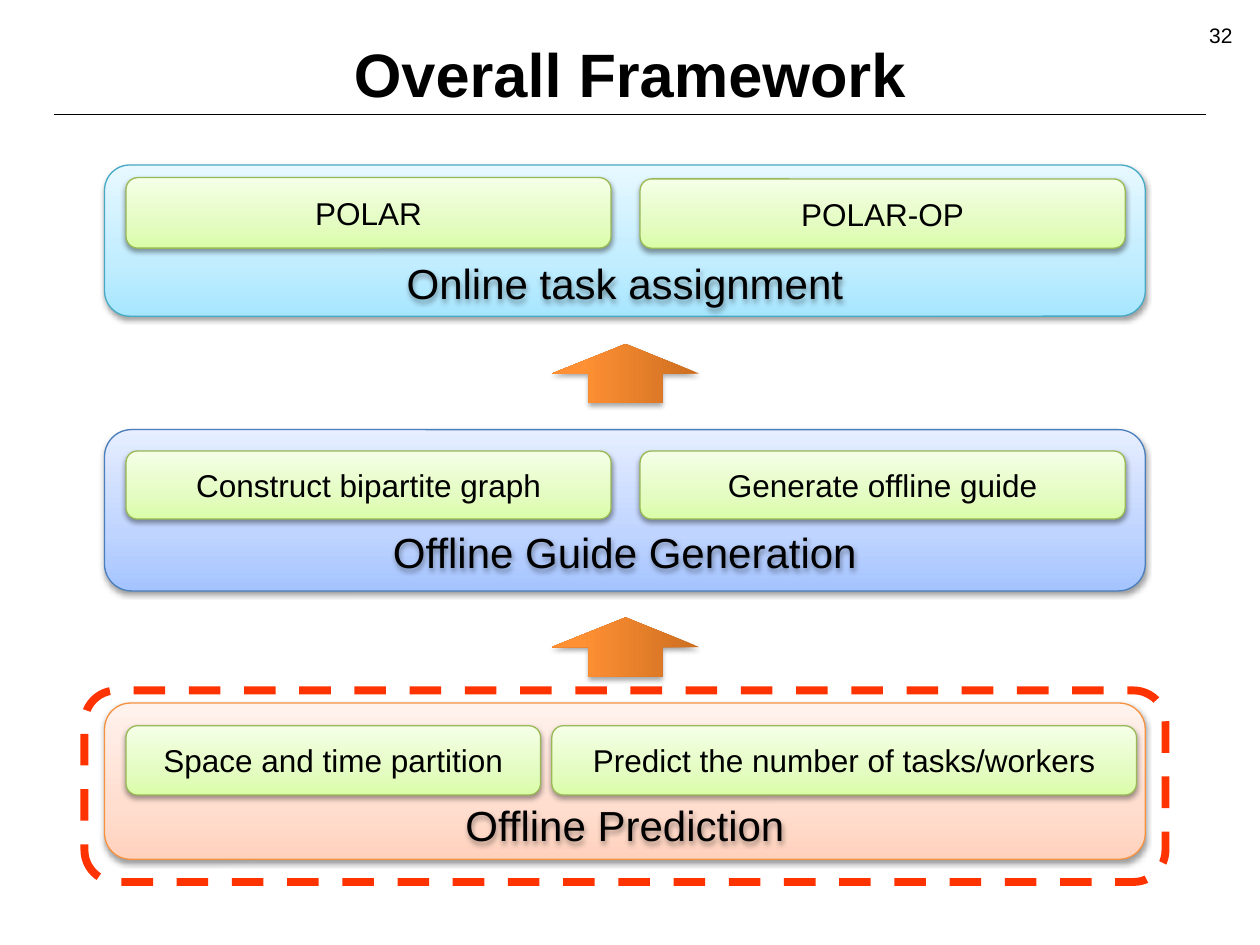
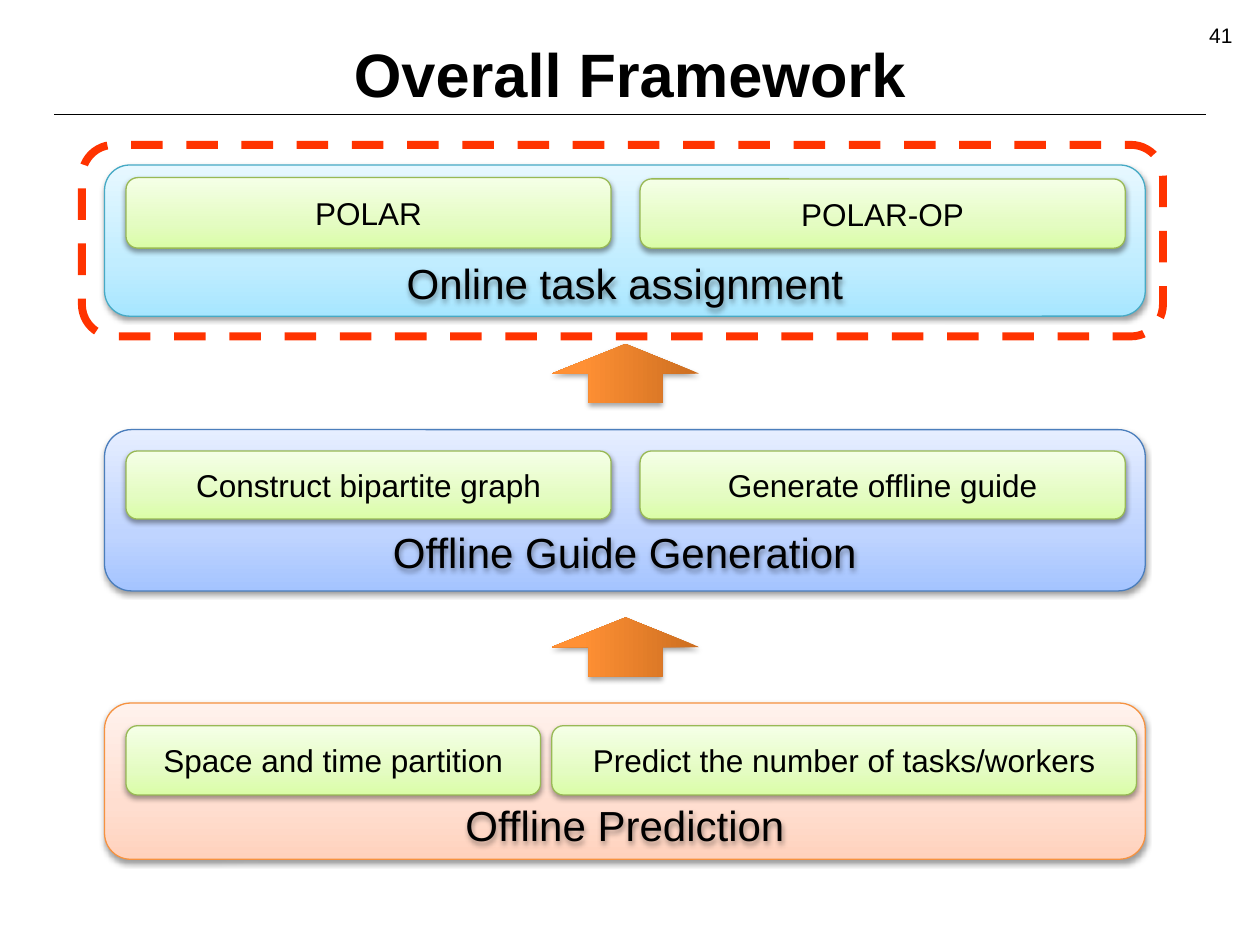
import pptx
import pptx.dml.color
import pptx.enum.dml
import pptx.enum.shapes
import pptx.enum.text
import pptx.oxml.ns
import pptx.util
import lxml.etree
from dataclasses import dataclass

Inches = pptx.util.Inches
Pt = pptx.util.Pt
rgb = pptx.dml.color.RGBColor.from_string
qn = pptx.oxml.ns.qn
Shape = pptx.enum.shapes.MSO_SHAPE
Align = pptx.enum.text.PP_ALIGN
Anchor = pptx.enum.text.MSO_ANCHOR


@dataclass(frozen=True)
class Theme:
    font: str = "Arial"
    ink: str = "000000"
    focus: str = "FF3300"
    edge: str = "98B955"
    green: tuple = ((0, "DAFDA7"), (35, "E4FCC2"), (100, "F5FFE7"))
    blue: tuple = ((0, "A4C4FF"), (35, "BFD4FF"), (100, "E6EEFF"))
    cyan: tuple = ((0, "A7E6FF"), (35, "C1EDFF"), (100, "E7F8FF"))
    peach: tuple = ((0, "FFD2BD"), (35, "FFDED0"), (100, "FFF2ED"))
    orange: tuple = ((0, "CC6E20"), (80, "FF9034"), (100, "FF9136"))
    title: int = 35
    label: int = 24
    step: int = 18
    page: int = 12
    thin: float = 0.75
    thick: float = 4.5


THEME = Theme()
LEFT, WIDTH, ROW = 0.83, 8.26, 0.55
BANDS = [
    dict(top=5.58, high=1.24, stops=THEME.peach, edge="F69240",
         label=("Offline Prediction", 6.27),
         steps=[("Space and time partition", 1, 5.76, 3.29, ROW),
                ("Predict the number of tasks/workers", 4.38, 5.76, 4.64, ROW)]),
    dict(top=3.41, high=1.28, stops=THEME.blue, edge="4B7EBC",
         label=("Offline Guide Generation", 4.1),
         steps=[("Construct bipartite graph", 1, 3.58, 3.85, 0.54),
                ("Generate offline guide", 5.08, 3.58, 3.85, 0.54)]),
    dict(top=1.31, high=1.2, stops=THEME.cyan, edge="46AAC5",
         label=("Online task assignment", 1.97),
         steps=[("POLAR", 1, 1.41, 3.85, 0.56),
                ("POLAR-OP", 5.08, 1.42, 3.85, ROW)]),
]
SLIDES = [("32", 0.67, 5.48), ("41", 0.65, 1.15)]
ARROWS = [2.38, 4.55]


def put(item, **vals):
    for name, val in vals.items():
        setattr(item, name, val)


def box(*spot):
    return [Inches(num) for num in spot]


def write(shape, text, size, align=Align.CENTER, anchor=Anchor.MIDDLE, bold=False):
    frame = shape.text_frame
    put(frame, text=text, word_wrap=True, vertical_anchor=anchor)
    line = frame.paragraphs[0]
    line.alignment = align
    put(line.font, name=THEME.font, size=Pt(size), bold=bold)
    line.font.color.rgb = rgb(THEME.ink)


def blend(shape, stops):
    shape.fill.gradient()
    shape.fill.gradient_angle = 90
    group = shape.element.spPr.find(".//" + qn("a:gsLst"))
    for stop in list(group):
        group.remove(stop)
    for pos, tint in stops:
        stop = lxml.etree.SubElement(group, qn("a:gs"), pos=str(pos * 1000))
        lxml.etree.SubElement(stop, qn("a:srgbClr"), val=tint)


def shade(shape, alpha, gap):
    effects = shape.element.spPr.find(qn("a:effectLst"))
    cast = lxml.etree.SubElement(
        effects, qn("a:outerShdw"), blurRad=str(Pt(3.1)), dist=str(Pt(gap)),
        dir="5400000", rotWithShape="0")
    tint = lxml.etree.SubElement(cast, qn("a:srgbClr"), val=THEME.ink)
    lxml.etree.SubElement(tint, qn("a:alpha"), val=str(alpha * 1000))


def draw(shapes, kind, spot, stops=None, edge=None, width=THEME.thin):
    shape = shapes.add_shape(kind, *box(*spot))
    shape.shadow.inherit = False
    if stops:
        blend(shape, stops)
    else:
        shape.fill.background()
    if edge:
        shape.line.color.rgb = rgb(edge)
        shape.line.width = Pt(width)
    else:
        shape.line.fill.background()
    return shape


def add_band(slide, band):
    shapes = slide.shapes.add_group_shape().shapes
    panel = draw(shapes, Shape.ROUNDED_RECTANGLE,
                 (LEFT, band["top"], WIDTH, band["high"]), band["stops"], band["edge"])
    shade(panel, 38, 1.6)
    text, top = band["label"]
    label = draw(shapes, Shape.ROUNDED_RECTANGLE, (LEFT, top, WIDTH, ROW))
    shade(label, 38, 1.6)
    write(label, text, THEME.label)
    for text, *spot in band["steps"]:
        step = draw(shapes, Shape.ROUNDED_RECTANGLE, spot, THEME.green, THEME.edge)
        shade(step, 38, 1.6)
        write(step, text, THEME.step)


def add_arrow(slide, top):
    arrow = draw(slide.shapes, Shape.RIGHT_ARROW, (4.73, top, 0.47, 1.17), THEME.orange)
    arrow.rotation = 270
    shade(arrow, 35, 1.8)


def add_focus(slide, left, top):
    frame = draw(slide.shapes, Shape.ROUNDED_RECTANGLE, (left, top, 8.58, 1.52),
                 edge=THEME.focus, width=THEME.thick)
    frame.line.dash_style = pptx.enum.dml.MSO_LINE.DASH
    frame.element.spPr.find(qn("a:xfrm")).set("flipV", "1")


def add_title(slide, text):
    title = slide.shapes.title
    left, top, width, height = box(0, 0.11, 10, 0.81)
    put(title, left=left, top=top, width=width, height=height)
    write(title, text, THEME.title, anchor=Anchor.BOTTOM, bold=True)


def add_page(slide, text):
    page = slide.shapes.add_textbox(*box(7.55, 0.13, 2.33, 0.28))
    write(page, text, THEME.page, Align.RIGHT, Anchor.TOP)


def add_rule(slide):
    rule = slide.shapes.add_connector(
        pptx.enum.shapes.MSO_CONNECTOR.STRAIGHT, *box(0.43, 0.91, 9.57, 0.91))
    rule.line.color.rgb = rgb(THEME.ink)
    rule.line.width = Pt(THEME.thin)
    lxml.etree.SubElement(rule.element.spPr, qn("a:effectLst"))


def main():
    deck = pptx.Presentation()
    put(deck, slide_width=Inches(10), slide_height=Inches(7.5))
    for page, left, top in SLIDES:
        slide = deck.slides.add_slide(deck.slide_layouts[5])
        add_rule(slide)
        add_focus(slide, left, top)
        add_title(slide, "Overall Framework")
        for spot in ARROWS:
            add_arrow(slide, spot)
        for band in BANDS:
            add_band(slide, band)
        add_page(slide, page)
    deck.save("out.pptx")


if __name__ == "__main__":
    main()
